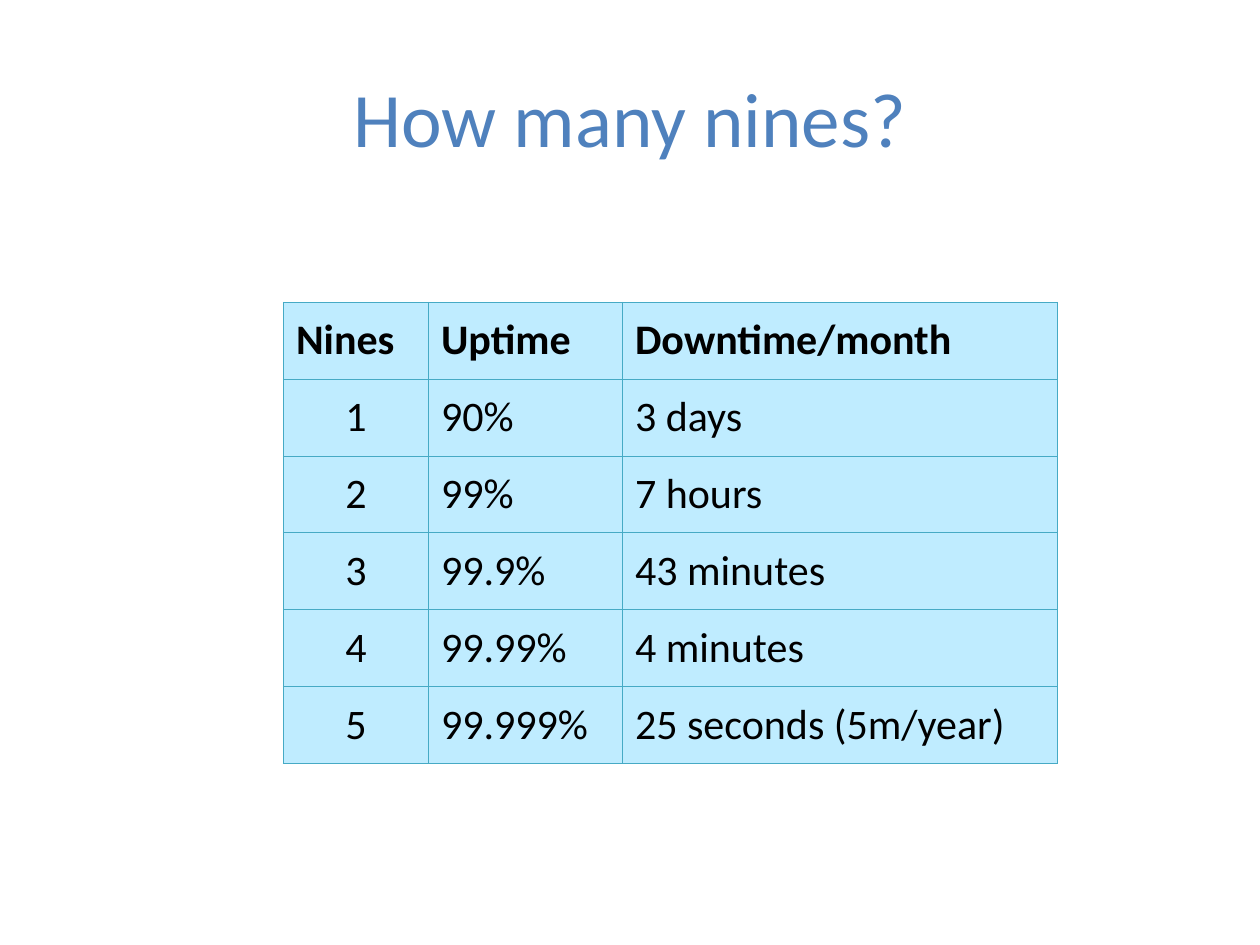
from dataclasses import dataclass

from lxml import etree
from pptx import Presentation
from pptx.dml.color import RGBColor
from pptx.enum.text import MSO_ANCHOR, PP_ALIGN
from pptx.oxml.ns import qn
from pptx.util import Inches, Pt

CENTER, LEFT = PP_ALIGN.CENTER, PP_ALIGN.LEFT
MIDDLE = MSO_ANCHOR.MIDDLE

FONT = "Calibri"
TITLE_COLOR, TEXT_COLOR = "4F81BD", "000000"
CELL_COLOR, BORDER_COLOR = "BFECFF", "46AAC5"
BORDER_WIDTH = Pt(0.75)
TABLE_LEFT, TABLE_TOP = 2.25, 2.4
ROW_HEIGHT = 0.61
CELL_MARGIN = Inches(0.1)


@dataclass(frozen=True)
class Column:
    """A table column: heading, width in inches, body alignment and values."""
    heading: str
    width: float
    align: PP_ALIGN
    values: tuple[str, ...]


COLUMNS = (
    Column("Nines", 1.15, CENTER, ("1", "2", "3", "4", "5")),
    Column("Uptime", 1.54, LEFT, ("90%", "99%", "99.9%", "99.99%", "99.999%")),
    Column("Downtime/month", 3.45, LEFT,
           ("3 days", "7 hours", "43 minutes", "4 minutes", "25 seconds (5m/year)")),
)


def color(value: str) -> RGBColor:
    """Turn a hex string into a colour."""
    return RGBColor.from_string(value)


def write(frame, text: str, size: float, ink: str, align: PP_ALIGN,
          bold: bool = False) -> None:
    """Fill a text frame with one styled paragraph."""
    paragraph = frame.paragraphs[0]
    paragraph.text = text
    paragraph.alignment = align
    font = paragraph.font
    font.name, font.size, font.bold = FONT, Pt(size), bold
    font.color.rgb = color(ink)


def add_borders(cell) -> None:
    """Draw a thin line on all four sides of a cell."""
    properties = cell._tc.get_or_add_tcPr()
    for side in ("a:lnL", "a:lnR", "a:lnT", "a:lnB"):
        line = etree.SubElement(properties, qn(side), w=str(BORDER_WIDTH))
        fill = etree.SubElement(line, qn("a:solidFill"))
        etree.SubElement(fill, qn("a:srgbClr"), val=BORDER_COLOR)


def style_cell(cell, text: str, align: PP_ALIGN, bold: bool) -> None:
    """Give a cell its text, margins, borders and fill."""
    cell.margin_left = cell.margin_right = CELL_MARGIN
    cell.margin_top = cell.margin_bottom = CELL_MARGIN
    write(cell.text_frame, text, 24, TEXT_COLOR, align, bold)
    add_borders(cell)
    cell.fill.solid()
    cell.fill.fore_color.rgb = color(CELL_COLOR)


def add_title(slide, text: str) -> None:
    """Add the centred slide title."""
    title = slide.shapes.add_textbox(Inches(0.5), Inches(0.3), Inches(9), Inches(1.25))
    title.text_frame.word_wrap = True
    title.text_frame.vertical_anchor = MIDDLE
    write(title.text_frame, text, 44, TITLE_COLOR, CENTER)


def add_uptime_table(slide) -> None:
    """Add the table of uptime levels and their downtime."""
    row_count = 1 + len(COLUMNS[0].values)
    width = sum(column.width for column in COLUMNS)
    table = slide.shapes.add_table(
        row_count, len(COLUMNS), Inches(TABLE_LEFT), Inches(TABLE_TOP),
        Inches(width), Inches(ROW_HEIGHT * row_count)).table
    table.horz_banding = False
    for index, column in enumerate(COLUMNS):
        table.columns[index].width = Inches(column.width)
        style_cell(table.cell(0, index), column.heading, LEFT, True)
        for row, value in enumerate(column.values, start=1):
            style_cell(table.cell(row, index), value, column.align, False)


def main() -> None:
    """Build and save the slide."""
    deck = Presentation()
    deck.slide_width, deck.slide_height = Inches(10), Inches(7.5)
    slide = deck.slides.add_slide(deck.slide_layouts[6])
    add_title(slide, "How many nines?")
    add_uptime_table(slide)
    deck.save("out.pptx")


main()
